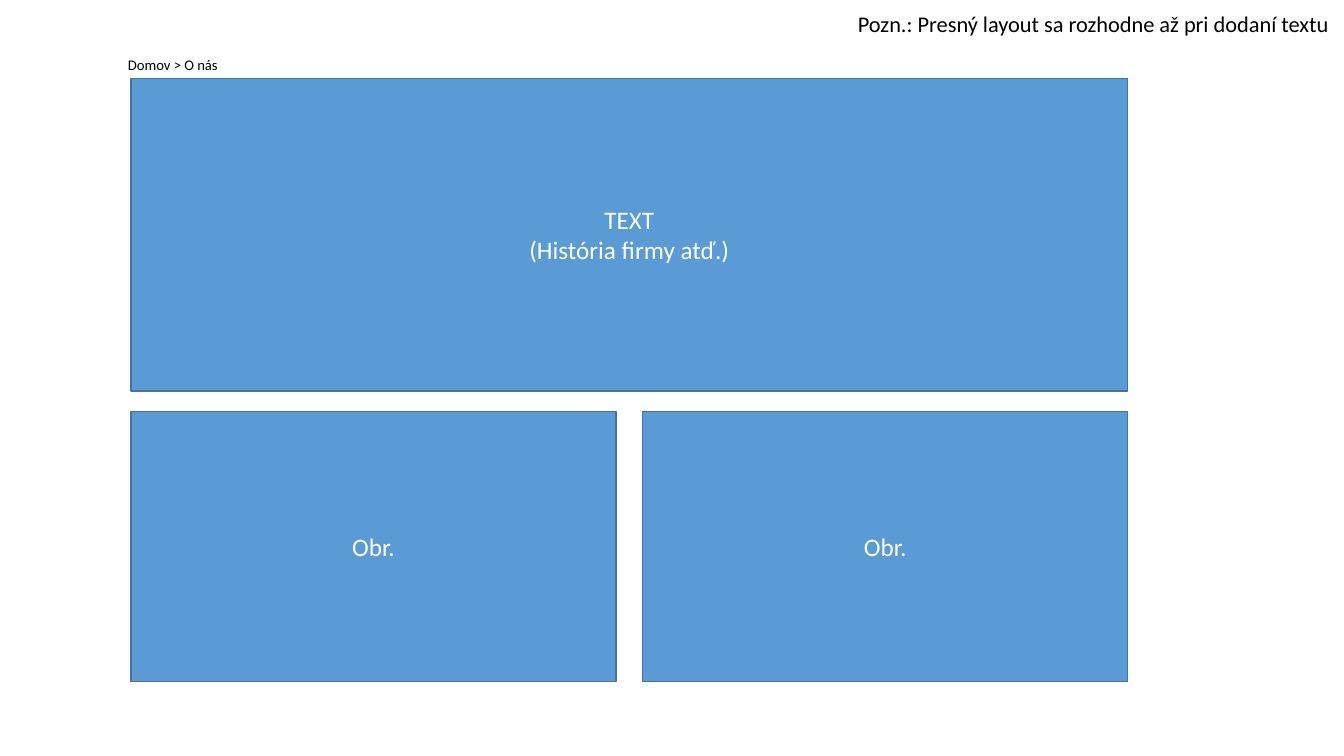
from dataclasses import dataclass

from pptx import Presentation
from pptx.dml.color import RGBColor
from pptx.enum.shapes import MSO_SHAPE as Preset
from pptx.enum.text import MSO_ANCHOR as Anchor, MSO_AUTO_SIZE as AutoSize, PP_ALIGN as Align
from pptx.util import Pt


@dataclass(frozen=True)
class Theme:
    font: str = "Calibri"
    fill: RGBColor = RGBColor(0x5B, 0x9B, 0xD5)
    border: RGBColor = RGBColor(0x43, 0x73, 0x9E)
    light: RGBColor = RGBColor(0xFF, 0xFF, 0xFF)
    dark: RGBColor = RGBColor(0, 0, 0)
    block_size: float = 18
    crumb_size: float = 10.5
    note_size: float = 16


THEME = Theme()


def apply(target, values):
    for name, value in values.items():
        setattr(target, name, value)


def write(shape, text, size, color, align, frame_format):
    apply(shape.text_frame, frame_format)
    para = shape.text_frame.paragraphs[0]
    para.text = text
    para.alignment = align
    for span in para.runs:
        apply(span.font, {"name": THEME.font, "size": Pt(size)})
        span.font.color.rgb = color


def add_block(page, box, text):
    block = page.shapes.add_shape(Preset.RECTANGLE, *map(Pt, box))
    block.shadow.inherit = False
    block.fill.solid()
    block.fill.fore_color.rgb = THEME.fill
    block.line.color.rgb = THEME.border
    block.line.width = Pt(1)
    write(block, text, THEME.block_size, THEME.light, Align.CENTER,
          {"word_wrap": True, "vertical_anchor": Anchor.MIDDLE})


def add_label(page, box, text, size, align, wrap):
    label = page.shapes.add_textbox(*map(Pt, box))
    write(label, text, size, THEME.dark, align,
          {"word_wrap": wrap, "auto_size": AutoSize.SHAPE_TO_FIT_TEXT})


def add_header(page, box):
    left, top, width, height = box
    note_width = 368
    add_label(page, (left + width - note_width, top + 3.6, note_width, 26.6),
              "Pozn.: Presný layout sa rozhodne až pri dodaní textu ",
              THEME.note_size, Align.RIGHT, True)
    add_label(page, (left + 84.3, top + height - 20, 82, 20),
              "Domov > O nás", THEME.crumb_size, Align.LEFT, False)


def add_content(page, box):
    left, top, width, height = box
    text_height, row_gap, column_gap = 223.3, 14.7, 19.2
    add_block(page, (left, top, width, text_height), "TEXT\v(História firmy atď.)")
    image_width = (width - column_gap) / 2
    image_top = text_height + row_gap
    for column in range(2):
        add_block(page, (left + column * (image_width + column_gap), top + image_top,
                         image_width, height - image_top), "Obr.")


def main():
    deck = Presentation()
    apply(deck, {"slide_width": Pt(960), "slide_height": Pt(540)})
    page = deck.slides.add_slide(deck.slide_layouts[6])
    add_content(page, (93.6, 56, 711.8, 431))
    add_header(page, (0, 0, 960, 56))
    deck.save("out.pptx")


if __name__ == "__main__":
    main()
